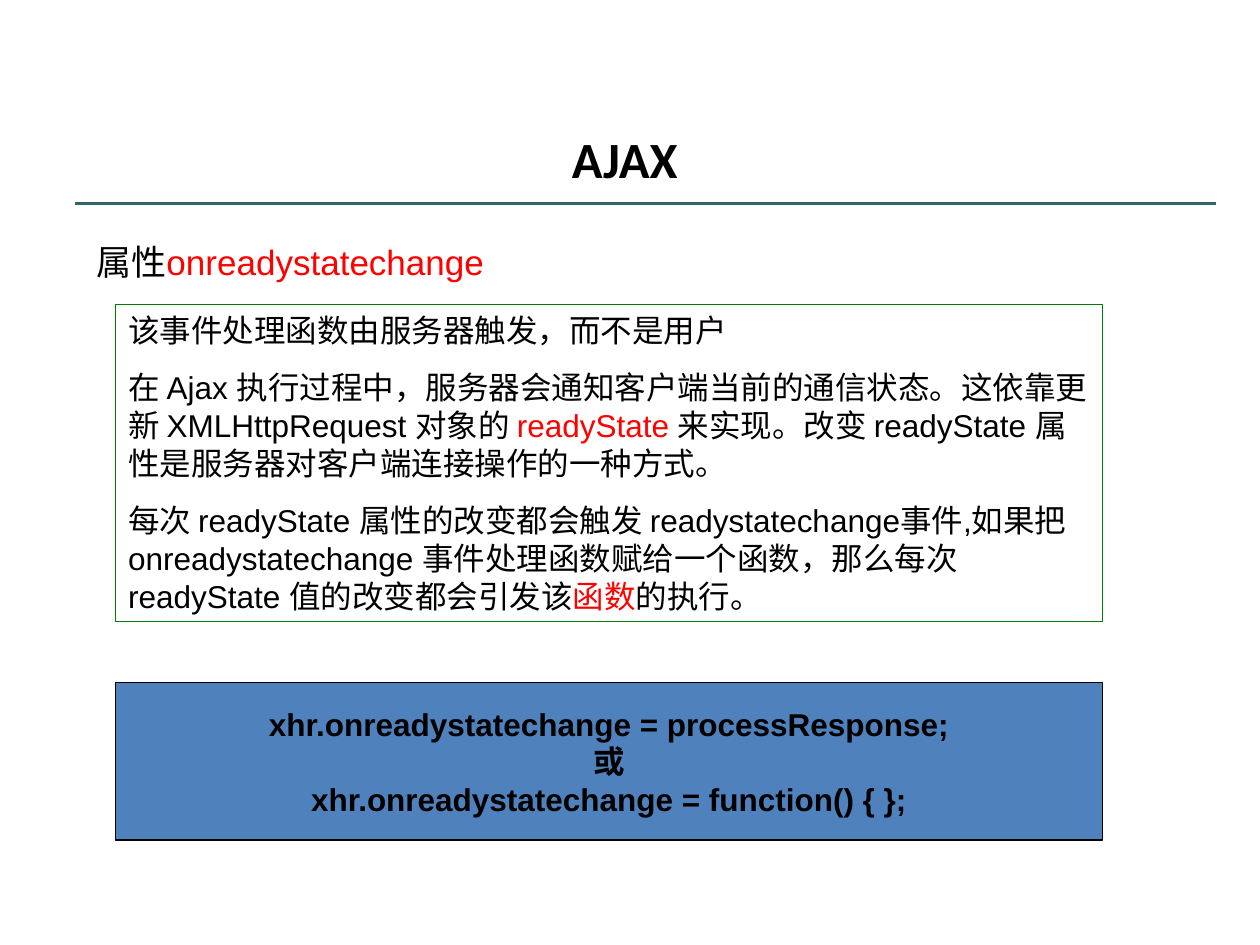
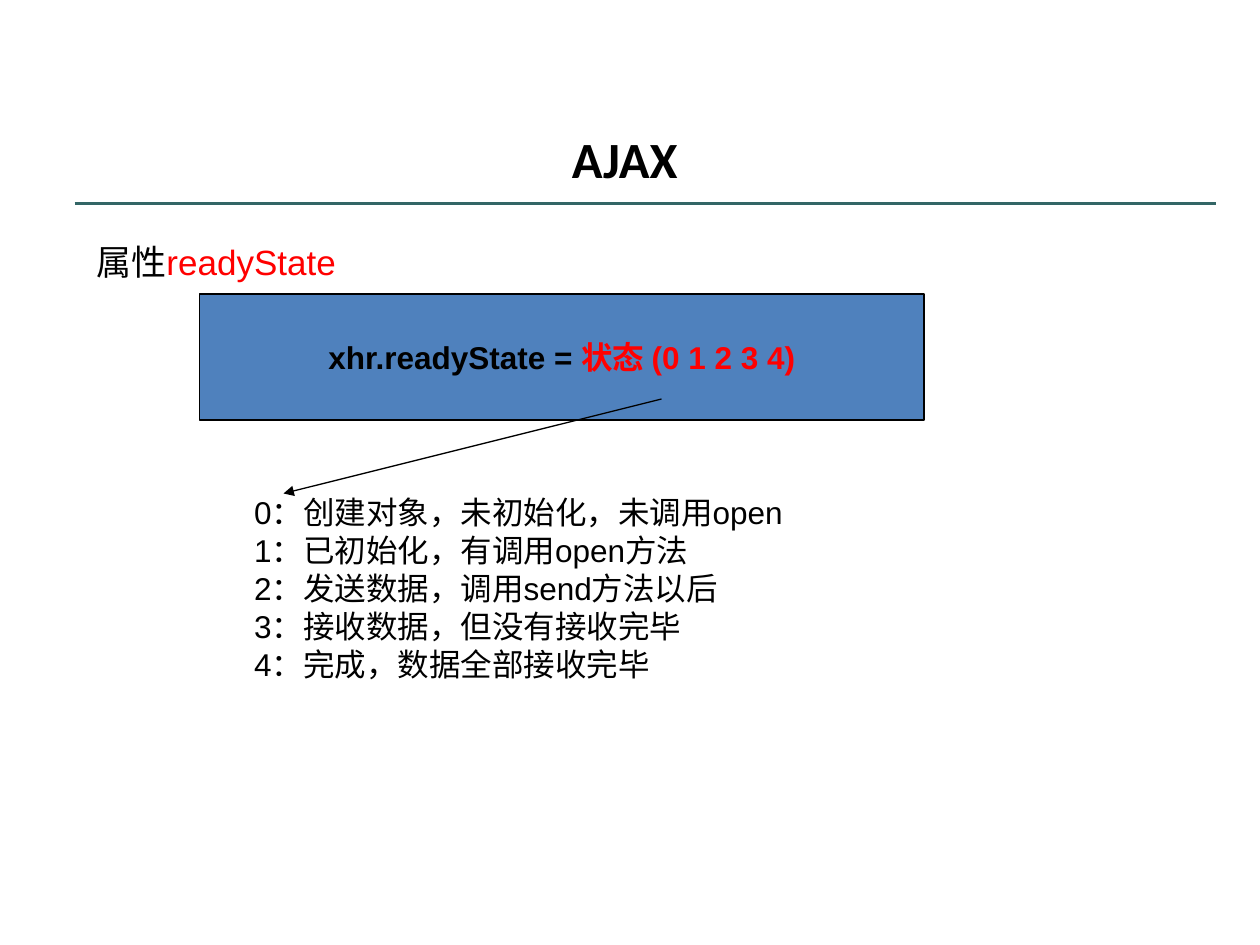
"""Build two AJAX slides on the onreadystatechange and readyState properties."""
import pptx
import pptx.dml.color
import pptx.enum.shapes
import pptx.enum.text
import pptx.oxml.ns
import pptx.util
from lxml import etree

RGBColor = pptx.dml.color.RGBColor
BLACK = RGBColor(0x00, 0x00, 0x00)
RED = RGBColor(0xFF, 0x00, 0x00)
GREEN = RGBColor(0x00, 0x80, 0x00)
TEAL = RGBColor(0x33, 0x66, 0x66)
BLUE = RGBColor(0x4F, 0x81, 0xBD)

ALIGN = pptx.enum.text.PP_ALIGN
ANCHOR = pptx.enum.text.MSO_ANCHOR
COLUMNS, ROWS = 120, 90
TITLE = (6.1, 10.1, 106.8, 8.5)
RULE = (7.1, 19.4, 115.8, 19.4)
HEADING = (8, 22.3, 53, 5.3)

SLIDES = [
    {
        "property": "onreadystatechange",
        "body": [
            [("该事件处理函数由服务器触发，而不是用户", BLACK)],
            [("在 Ajax 执行过程中，服务器会通知客户端当前的通信状态。这依靠更新 XMLHttpRequest 对象的 ", BLACK),
             ("readyState ", RED),
             ("来实现。改变 readyState 属性是服务器对客户端连接操作的一种方式。", BLACK)],
            [("每次 readyState 属性的改变都会触发 readystatechange事件,如果把 onreadystatechange "
              "事件处理函数赋给一个函数，那么每次 readyState 值的改变都会引发该", BLACK),
             ("函数", RED), ("的执行。", BLACK)],
        ],
        "body_at": (11, 29, 94, 30.2),
        "body_anchor": ANCHOR.TOP,
        "body_gap": 11.2,
        "border": GREEN,
        "code": [
            [("xhr.onreadystatechange = processResponse;", BLACK)],
            [("或", BLACK)],
            [("xhr.onreadystatechange = function() { };", BLACK)],
        ],
        "code_at": (11, 65, 94, 15),
        "arrow": None,
    },
    {
        "property": "readyState",
        "body": [
            [("0：创建对象，未初始化，未调用open", BLACK)],
            [("1：已初始化，有调用open方法", BLACK)],
            [("2：发送数据，调用send方法以后", BLACK)],
            [("3：接收数据，但没有接收完毕", BLACK)],
            [("4：完成，数据全部接收完毕", BLACK)],
        ],
        "body_at": (23, 43, 66, 26),
        "body_anchor": ANCHOR.MIDDLE,
        "body_gap": 0,
        "border": None,
        "code": [[("xhr.readyState = ", BLACK), ("状态 (0 1 2 3 4)", RED)]],
        "code_at": (19, 28, 69, 12),
        "arrow": (63, 38, 27, 47),
    },
]


def grid(cells):
    """Turn grid columns and rows into lengths."""
    return [pptx.util.Inches(cell / 12) for cell in cells]


def place(sp, cells):
    """Move a shape to its place on the grid."""
    sp.left, sp.top, sp.width, sp.height = grid(cells)


def write(sp, paragraphs, size, font="Arial", bold=False, align=ALIGN.LEFT,
          anchor=ANCHOR.TOP, gap=0):
    """Fill a shape with paragraphs of coloured runs."""
    tf = sp.text_frame
    tf.word_wrap = True
    tf.auto_size = pptx.enum.text.MSO_AUTO_SIZE.NONE
    tf.vertical_anchor = anchor
    for i, runs in enumerate(paragraphs):
        p = tf.paragraphs[0] if i == 0 else tf.add_paragraph()
        p.alignment = align
        p.space_before = pptx.util.Pt(0)
        p.space_after = pptx.util.Pt(gap)
        pPr = p._p.get_or_add_pPr()
        pPr.set("marL", "0")
        pPr.set("indent", "0")
        etree.SubElement(pPr, pptx.oxml.ns.qn("a:buNone"))
        for text, color in runs:
            r = p.add_run()
            r.text = text
            r.font.name = font
            r.font.size = pptx.util.Pt(size)
            r.font.bold = bold
            r.font.color.rgb = color


def add_line(s, cells, color, width, arrow=False):
    """Draw a straight line, with an arrowhead at its end if asked."""
    line = s.shapes.add_connector(pptx.enum.shapes.MSO_CONNECTOR.STRAIGHT, *grid(cells))
    line.line.color.rgb = color
    line.line.width = pptx.util.Pt(width)
    etree.SubElement(line._element.spPr, pptx.oxml.ns.qn("a:effectLst"))
    if arrow:
        ln = line.line._get_or_add_ln()
        etree.SubElement(ln, pptx.oxml.ns.qn("a:tailEnd"), type="triangle")


def add_slide(prs, content):
    """Add one slide with title, rule, heading, body and code box."""
    s = prs.slides.add_slide(prs.slide_layouts[1])
    title, body = s.placeholders
    place(title, TITLE)
    write(title, [[("AJAX", BLACK)]], 29, "Calibri", True, ALIGN.CENTER, ANCHOR.BOTTOM)
    add_line(s, RULE, TEAL, 2)

    heading = s.shapes.add_textbox(*grid(HEADING))
    write(heading, [[("属性", BLACK), (content["property"], RED)]], 20)

    place(body, content["body_at"])
    write(body, content["body"], 18, anchor=content["body_anchor"], gap=content["body_gap"])
    if content["border"]:
        body.line.color.rgb = content["border"]
        body.line.width = pptx.util.Pt(0.75)

    code = s.shapes.add_shape(pptx.enum.shapes.MSO_SHAPE.RECTANGLE, *grid(content["code_at"]))
    code.shadow.inherit = False
    code.fill.solid()
    code.fill.fore_color.rgb = BLUE
    code.line.color.rgb = BLACK
    code.line.width = pptx.util.Pt(0.75)
    write(code, content["code"], 18, bold=True, align=ALIGN.CENTER, anchor=ANCHOR.MIDDLE)
    if content["arrow"]:
        add_line(s, content["arrow"], BLACK, 0.75, arrow=True)


def main():
    """Build and save the presentation."""
    prs = pptx.Presentation()
    prs.slide_width, prs.slide_height = grid((COLUMNS, ROWS))
    for content in SLIDES:
        add_slide(prs, content)
    prs.save("out.pptx")


if __name__ == "__main__":
    main()
